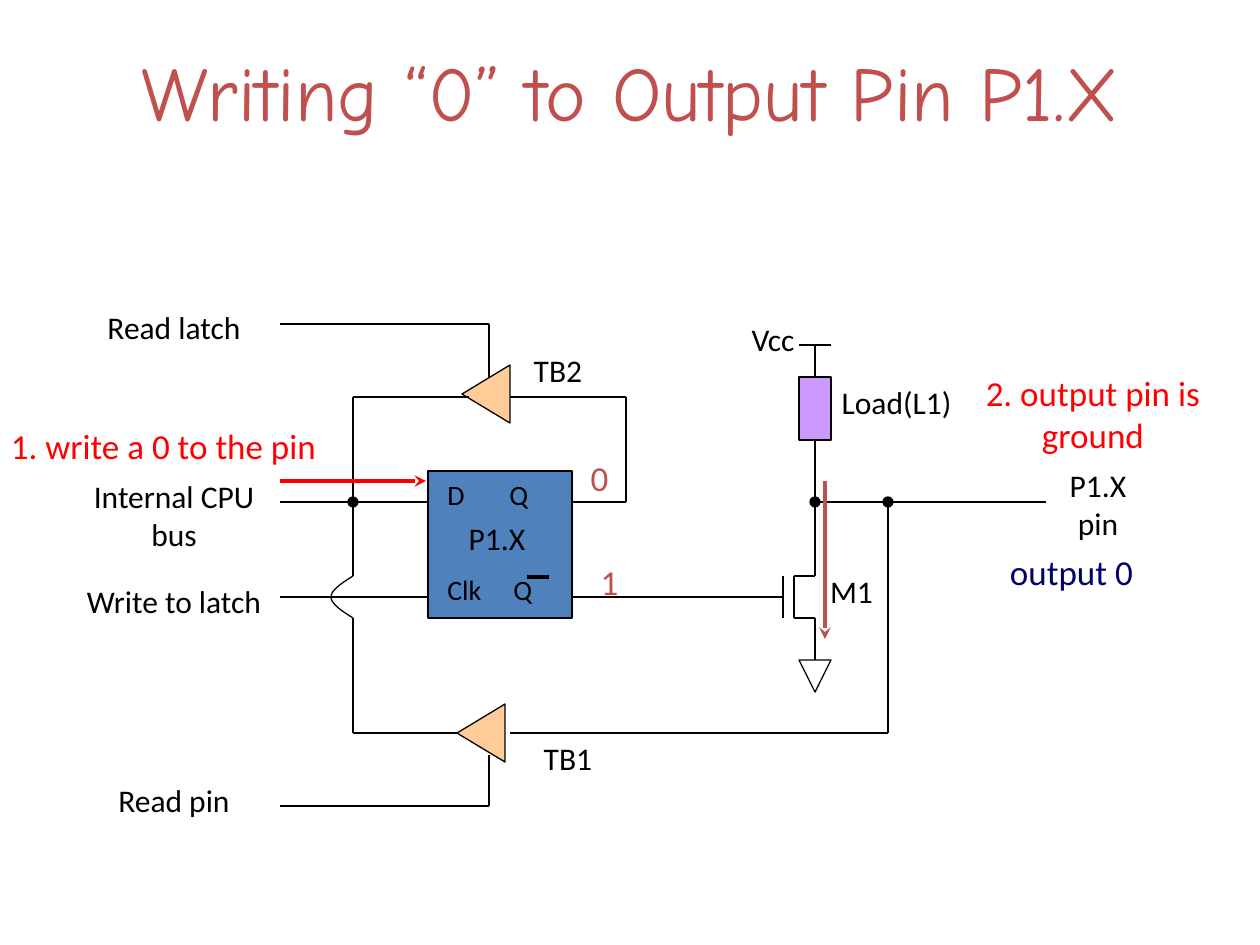
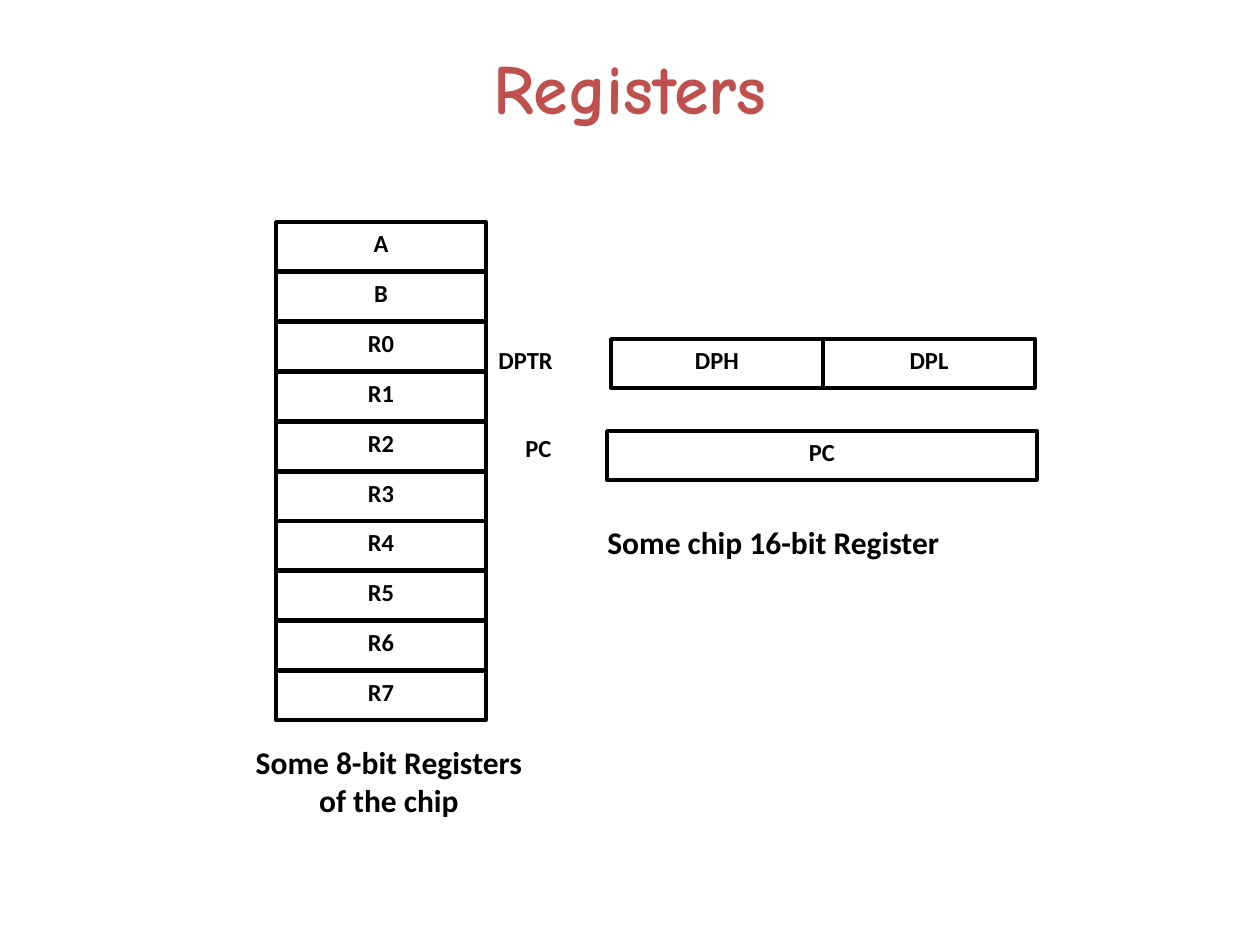
from dataclasses import dataclass
from itertools import pairwise

from lxml import etree
from pptx import Presentation
from pptx import util as u
from pptx.dml.color import RGBColor
from pptx.enum import shapes, text
from pptx.oxml.ns import qn

PX = u.Inches(1) / 126
BLACK, RED, BRICK, NAVY = "000000", "FF0000", "C0504D", "000066"
BLUE, PEACH, LILAC = "4F81BD", "FFCC99", "CC99FF"
BODY_FONT, TITLE_FONT = "Calibri", "Comic Neue"
LEFT, CENTER = text.PP_ALIGN.LEFT, text.PP_ALIGN.CENTER
SHAPE = shapes.MSO_SHAPE


@dataclass
class Label:
    words: str
    x: int
    y: int
    width: int
    height: int = 50
    size: int = 18
    color: str = BLACK
    bold: bool = False
    align: text.PP_ALIGN = CENTER


@dataclass
class Part:
    kind: shapes.MSO_SHAPE
    x: int
    y: int
    width: int
    height: int
    fill: str | None = None
    rotation: int = 0


@dataclass
class Wire:
    points: list[tuple[int, int]]
    color: str = BLACK
    weight: float = 0.75
    arrow: bool = False


@dataclass
class Register:
    name: str
    x: int
    y: int
    width: int


def px(length: float) -> u.Emu:
    return u.Emu(round(length * PX))


def rgb(value: str) -> RGBColor:
    return RGBColor.from_string(value)


def add_run(paragraph, words: str, size: int, color: str = BLACK,
            bold: bool = False, font: str = BODY_FONT) -> None:
    run = paragraph.add_run()
    run.text = words
    run.font.name, run.font.size, run.font.bold = font, u.Pt(size), bold
    run.font.color.rgb = rgb(color)


def add_titled_slide(presentation, words: str, size: int, bold: bool = False):
    slide = presentation.slides.add_slide(presentation.slide_layouts[5])
    title = slide.shapes.title
    title.left, title.top, title.width, title.height = map(px, (63, 38, 1134, 157))
    title.text_frame.vertical_anchor = text.MSO_ANCHOR.TOP
    paragraph = title.text_frame.paragraphs[0]
    paragraph.alignment = CENTER
    add_run(paragraph, words, size, BRICK, bold, TITLE_FONT)
    return slide


def add_text_box(slide, x: int, y: int, width: int, height: int):
    frame = slide.shapes.add_textbox(*map(px, (x, y, width, height))).text_frame
    frame.word_wrap = True
    return frame


def draw_label(slide, label: Label) -> None:
    frame = add_text_box(slide, label.x, label.y, label.width, label.height)
    paragraph = frame.paragraphs[0]
    paragraph.alignment = label.align
    add_run(paragraph, label.words, label.size, label.color, label.bold)


def style_shape(shape, fill: str | None, weight: float) -> None:
    shape.shadow.inherit = False
    if fill:
        shape.fill.solid()
        shape.fill.fore_color.rgb = rgb(fill)
    else:
        shape.fill.background()
    shape.line.color.rgb = rgb(BLACK)
    shape.line.width = u.Pt(weight)


def draw_part(slide, part: Part) -> None:
    frame = map(px, (part.x, part.y, part.width, part.height))
    shape = slide.shapes.add_shape(part.kind, *frame)
    shape.rotation = part.rotation
    style_shape(shape, part.fill, 0.75)


def draw_wire(slide, wire: Wire) -> None:
    """Join successive points with straight connectors."""
    for start, end in pairwise(wire.points):
        line = slide.shapes.add_connector(
            shapes.MSO_CONNECTOR.STRAIGHT, *map(px, (*start, *end)))
        line.line.color.rgb = rgb(wire.color)
        line.line.width = u.Pt(wire.weight)
        properties = line._element.spPr
        if wire.arrow:
            outline = properties.find(qn("a:ln"))
            etree.SubElement(outline, qn("a:tailEnd"), type="stealth")
        etree.SubElement(properties, qn("a:effectLst"))


def draw_wire_hop(slide) -> None:
    """Curve the bus wire around the write-to-latch wire."""
    def curve(t: float, *controls: float) -> float:
        a, b, c, d = controls
        s = 1 - t
        return a * s**3 + 3 * b * s * s * t + 3 * c * s * t * t + d * t**3

    steps = [step / 10 for step in range(11)]
    upper = [(curve(t, 353, 342, 331, 331), curve(t, 576, 583, 590, 597))
             for t in steps]
    lower = [(x, 2 * 597 - y) for x, y in reversed(upper[:-1])]
    first, *rest = [(px(x), px(y)) for x, y in upper + lower]
    builder = slide.shapes.build_freeform(*first)
    builder.add_line_segments(rest, close=False)
    style_shape(builder.convert_to_shape(), None, 0.75)


def draw_latch_pins(slide) -> None:
    frame = add_text_box(slide, 435, 471, 128, 147)
    rows = [("D\tQ", 62, 0), ("Clk\tQ", 66, 35)]
    for index, (words, tab, space) in enumerate(rows):
        paragraph = frame.add_paragraph() if index else frame.paragraphs[0]
        tabs = etree.SubElement(paragraph._p.get_or_add_pPr(), qn("a:tabLst"))
        etree.SubElement(tabs, qn("a:tab"), pos=str(px(tab)), algn="l")
        if space:
            paragraph.space_before = u.Pt(space)
        add_run(paragraph, words, 16)


def draw_register(slide, register: Register) -> None:
    box = slide.shapes.add_shape(
        SHAPE.RECTANGLE, *map(px, (register.x, register.y, register.width, 49)))
    style_shape(box, None, 2)
    box.text_frame.vertical_anchor = text.MSO_ANCHOR.TOP
    paragraph = box.text_frame.paragraphs[0]
    paragraph.alignment = CENTER
    add_run(paragraph, register.name, 14, bold=True)


PARTS = [
    Part(SHAPE.RECTANGLE, 428, 471, 144, 147, BLUE),
    Part(SHAPE.ISOSCELES_TRIANGLE, 457, 370, 58, 48, PEACH, 270),
    Part(SHAPE.ISOSCELES_TRIANGLE, 452, 709, 58, 48, PEACH, 270),
    Part(SHAPE.RECTANGLE, 799, 377, 32, 63, LILAC),
    Part(SHAPE.ISOSCELES_TRIANGLE, 799, 660, 32, 32, None, 180),
    *[Part(SHAPE.OVAL, x - 5, 497, 10, 10, BLACK) for x in (353, 815, 888)],
]

WIRES = [
    Wire([(527, 577), (549, 577)], weight=2),
    Wire([(280, 502), (428, 502)]),
    Wire([(510, 397), (626, 397), (626, 502), (573, 502)]),
    Wire([(280, 597), (428, 597)]),
    Wire([(573, 597), (783, 597)]),
    Wire([(783, 576), (783, 618)]),
    Wire([(815, 440), (815, 576), (794, 576), (794, 618), (815, 618), (815, 660)]),
    Wire([(815, 502), (1046, 502)]),
    Wire([(815, 345), (815, 377)]),
    Wire([(799, 345), (831, 345)]),
    Wire([(888, 502), (888, 733), (510, 733)]),
    Wire([(469, 397), (353, 397), (353, 576)]),
    Wire([(353, 618), (353, 733), (457, 733)]),
    Wire([(280, 324), (489, 324), (489, 377)]),
    Wire([(280, 806), (489, 806), (489, 755)]),
    Wire([(280, 481), (426, 481)], RED, 2.25, True),
    Wire([(825, 481), (825, 639)], BRICK, 2.25, True),
]

CIRCUIT_LABELS = [
    Label("Vcc", 731, 314, 84),
    Label("Load(L1)", 818, 377, 157),
    Label("Read latch", 69, 302, 210),
    Label("Read pin", 69, 775, 210),
    Label("Write to latch", 69, 576, 210),
    Label("Internal CPU bus", 69, 471, 210, 88),
    Label("M1", 815, 566, 73),
    Label("P1.X pin", 1035, 460, 126, 88),
    Label("P1.X", 434, 513, 126),
    Label("TB1", 510, 733, 116),
    Label("TB2", 500, 345, 116),
    Label("2. output pin is ground", 972, 365, 242, 97, 20, RED),
    Label("1. write a 0 to the pin", -15, 418, 357, 54, 20, RED),
    Label("0", 573, 450, 53, 54, 20, BRICK),
    Label("1", 583, 554, 53, 54, 20, BRICK),
    Label("output 0", 972, 544, 199, 54, 20, NAVY),
]

BYTE_NAMES = ["A", "B", *[f"R{number}" for number in range(8)]]
REGISTERS = [
    *[Register(name, 276, round(222 + 49.9 * row), 210)
      for row, name in enumerate(BYTE_NAMES)],
    Register("DPH", 611, 339, 212),
    Register("DPL", 823, 339, 212),
    Register("PC", 607, 431, 430),
]

REGISTER_LABELS = [
    Label("DPTR", 486, 339, 118, 50, 14, bold=True, align=LEFT),
    Label("PC", 513, 427, 118, 50, 14, bold=True, align=LEFT),
    Label("Some chip 16-bit Register", 595, 517, 486, 72, bold=True, align=LEFT),
    Label("Some 8-bit Registers of the chip", 231, 737, 316, 125, bold=True),
]


def main() -> None:
    presentation = Presentation()
    presentation.slide_width, presentation.slide_height = px(1260), px(945)

    circuit = add_titled_slide(presentation, "Writing “0” to Output Pin P1.X", 44)
    for part in PARTS:
        draw_part(circuit, part)
    draw_latch_pins(circuit)
    for wire in WIRES:
        draw_wire(circuit, wire)
    draw_wire_hop(circuit)
    for label in CIRCUIT_LABELS:
        draw_label(circuit, label)

    registers = add_titled_slide(presentation, "Registers", 40, bold=True)
    for register in REGISTERS:
        draw_register(registers, register)
    for label in REGISTER_LABELS:
        draw_label(registers, label)

    presentation.save("out.pptx")


if __name__ == "__main__":
    main()
